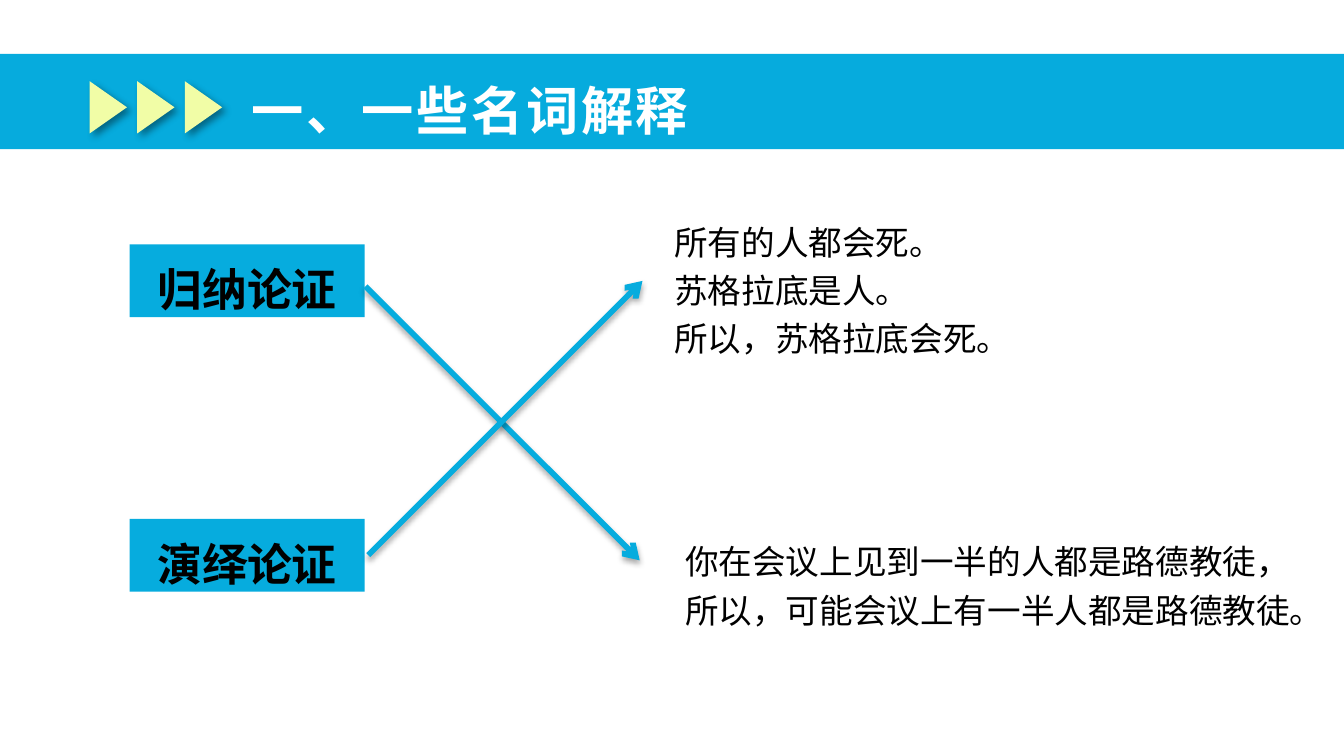
from dataclasses import dataclass

from lxml import etree
from pptx import Presentation
from pptx.dml.color import RGBColor
from pptx.enum.shapes import MSO_CONNECTOR, MSO_SHAPE
from pptx.enum.text import MSO_ANCHOR, MSO_AUTO_SIZE, PP_ALIGN
from pptx.oxml import parse_xml
from pptx.oxml.ns import nsdecls, qn
from pptx.util import Pt


@dataclass(frozen=True)
class Theme:
    font: str = "Noto Sans CJK SC"
    band: str = "06ABDD"
    accent: str = "06ACDE"
    marker: str = "F1FDA6"
    ink: str = "000000"
    paper: str = "FFFFFF"
    title_size: int = 28
    label_size: int = 24
    body_size: int = 18
    line_spacing: float = 1.2


class SlideBuilder:
    def __init__(self, slide, theme):
        self.slide = slide
        self.theme = theme

    def style(self, paragraph, size, color, bold=False):
        paragraph.font.size = Pt(size)
        paragraph.font.bold = bold
        paragraph.font.name = self.theme.font
        paragraph.font.color.rgb = RGBColor.from_string(color)
        # East Asian text takes its own typeface
        for run in paragraph.runs:
            props = run._r.get_or_add_rPr()
            etree.SubElement(props, qn("a:ea"), typeface=self.theme.font)

    def shadow(self, shape, opacity, blur, distance, angle):
        shape._element.spPr.append(parse_xml(
            f'<a:effectLst {nsdecls("a")}><a:outerShdw blurRad="{Pt(blur)}" '
            f'dist="{Pt(distance)}" dir="{angle * 60000}" rotWithShape="0">'
            f'<a:srgbClr val="{self.theme.ink}"><a:alpha val="{opacity * 1000}"/>'
            '</a:srgbClr></a:outerShdw></a:effectLst>'))

    def title(self, text, left, top, width, height):
        title = self.slide.shapes.title
        title.left, title.top = Pt(left), Pt(top)
        title.width, title.height = Pt(width), Pt(height)
        frame = title.text_frame
        frame.text = text
        frame.word_wrap = False
        frame.auto_size = MSO_AUTO_SIZE.SHAPE_TO_FIT_TEXT
        frame.vertical_anchor = MSO_ANCHOR.TOP
        heading = frame.paragraphs[0]
        heading.alignment = PP_ALIGN.LEFT
        self.style(heading, self.theme.title_size, self.theme.paper, bold=True)
        heading.runs[0]._r.get_or_add_rPr().set("spc", "150")

    def block(self, kind, left, top, width, height, color):
        block = self.slide.shapes.add_shape(
            kind, Pt(left), Pt(top), Pt(width), Pt(height))
        block.fill.solid()
        block.fill.fore_color.rgb = RGBColor.from_string(color)
        block.line.fill.background()
        return block

    def band(self, *box):
        self.block(MSO_SHAPE.RECTANGLE, *box, self.theme.band).shadow.inherit = False

    def marker(self, *box):
        marker = self.block(MSO_SHAPE.ISOSCELES_TRIANGLE, *box, self.theme.marker)
        marker.rotation = 90
        self.shadow(marker, opacity=40, blur=4, distance=3, angle=45)

    def label(self, text, *box):
        label = self.block(MSO_SHAPE.RECTANGLE, *box, self.theme.accent)
        label.shadow.inherit = False
        frame = label.text_frame
        frame.text = text
        frame.word_wrap = True
        frame.vertical_anchor = MSO_ANCHOR.TOP
        term = frame.paragraphs[0]
        term.alignment = PP_ALIGN.CENTER
        term.line_spacing = self.theme.line_spacing
        self.style(term, self.theme.label_size, self.theme.ink, bold=True)

    def example(self, lines, left, top, width, height):
        frame = self.slide.shapes.add_textbox(
            Pt(left), Pt(top), Pt(width), Pt(height)).text_frame
        frame.text = "\n".join(lines)
        frame.word_wrap = True
        frame.auto_size = MSO_AUTO_SIZE.SHAPE_TO_FIT_TEXT
        for sentence in frame.paragraphs:
            sentence.line_spacing = self.theme.line_spacing
            self.style(sentence, self.theme.body_size, self.theme.ink)

    def arrow(self, start_x, start_y, end_x, end_y):
        arrow = self.slide.shapes.add_connector(
            MSO_CONNECTOR.STRAIGHT, Pt(start_x), Pt(start_y), Pt(end_x), Pt(end_y))
        arrow.line.width = Pt(3)
        arrow.line.color.rgb = RGBColor.from_string(self.theme.accent)
        etree.SubElement(arrow.line._get_or_add_ln(), qn("a:tailEnd"), type="arrow")
        self.shadow(arrow, opacity=35, blur=3.1, distance=1.8, angle=90)


def main():
    presentation = Presentation()
    presentation.slide_width, presentation.slide_height = Pt(720), Pt(405)
    slide = presentation.slides.add_slide(presentation.slide_layouts[5])
    builder = SlideBuilder(slide, Theme())

    # Header band with its markers; the title is raised above the band
    builder.band(0, 28.8, 740, 51.1)
    for column in range(3):
        builder.marker(44 + 25.5 * column, 47.5, 28, 20)
    builder.title("一、一些名词解释", 127.4, 38.2, 252.7, 41)
    slide.shapes._spTree.append(slide.shapes.title._element)

    # Kinds of argument
    for term, top in (("归纳论证", 131), ("演绎论证", 278)):
        builder.label(term, 69.4, top, 126, 39)

    # Examples
    builder.example(("所有的人都会死。", "苏格拉底是人。", "所以，苏格拉底会死。"),
                    354.2, 110.9, 345.6, 85.7)
    builder.example(("你在会议上见到一半的人都是路德教徒，",
                     "所以，可能会议上有一半人都是路德教徒。"),
                    360, 282.2, 345.6, 59.8)

    # Crossed matches between kinds and examples
    builder.arrow(195.8, 153.4, 342.7, 300.2)
    builder.arrow(197.3, 297.4, 344.2, 150.5)

    presentation.save("out.pptx")


if __name__ == "__main__":
    main()
